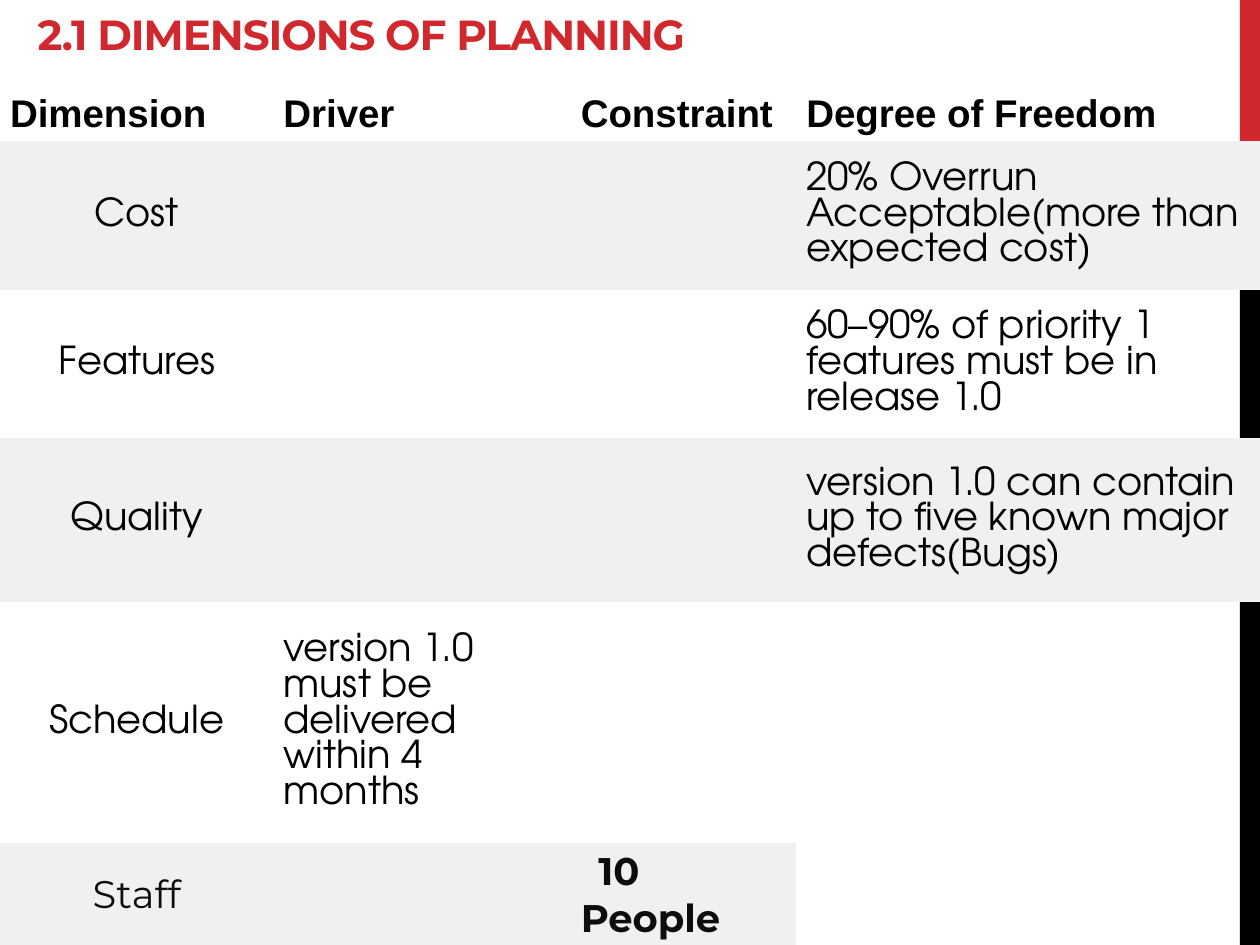
from pptx import Presentation
from pptx.dml.color import RGBColor
from pptx.enum.shapes import MSO_SHAPE
from pptx.enum.text import MSO_ANCHOR, PP_ALIGN
from pptx.oxml.ns import qn
from pptx.util import Inches, Pt

RED = RGBColor(0xD1, 0x28, 0x2E)
BLACK = RGBColor(0, 0, 0)
CHARCOAL = RGBColor(0x0D, 0x0D, 0x0D)
BAND = RGBColor(0xF0, 0xF0, 0xF0)

HEADING_FONT = "Arial"
BODY_FONT = "TeX Gyre Adventor"
ACCENT_FONT = "Montserrat"
PLAIN_TABLE_STYLE = "{2D5ABB26-0587-4C30-8999-92F81FD0307C}"

COLUMN_WIDTHS = [2.17, 2.36, 1.79, 3.68]
ROW_HEIGHTS = [0.6, 1.18, 1.18, 1.3, 1.91, 0.81]
DIMENSIONS = [
    ["Dimension", "Driver", "Constraint", "Degree of Freedom"],
    ["Cost", "", "", "20% Overrun Acceptable(more than expected cost)"],
    ["Features", "", "", "60–90% of priority 1 features must be in release 1.0"],
    ["Quality", "", "", "version 1.0 can contain up to five known major defects(Bugs)"],
    ["Schedule", "version 1.0 must be delivered within 4 months", "", ""],
    ["Staff", "", "10 People", ""],
]


def style(paragraph, font_name, size, color, bold):
    """Set the font of a whole paragraph."""
    font = paragraph.font
    font.name = font_name
    font.size = Pt(size)
    font.color.rgb = color
    font.bold = bold


def add_side_bar(slide, left, top, width, height, red_height):
    """Draw the edge bar, red above and black below."""
    parts = [(top, red_height, RED), (top + red_height, height - red_height, BLACK)]
    for part_top, part_height, color in parts:
        bar = slide.shapes.add_shape(
            MSO_SHAPE.RECTANGLE, Inches(left), Inches(part_top), Inches(width), Inches(part_height)
        )
        bar.shadow.inherit = False
        bar.fill.solid()
        bar.fill.fore_color.rgb = color
        bar.line.fill.background()


def add_title(slide, left, top, width, height):
    """Place the slide heading."""
    heading = slide.shapes.add_textbox(
        Inches(left), Inches(top), Inches(width), Inches(height)
    ).text_frame
    heading.word_wrap = True
    heading.vertical_anchor = MSO_ANCHOR.BOTTOM
    paragraph = heading.paragraphs[0]
    run = paragraph.add_run()
    run.text = "2.1 DIMENSIONS OF PLANNING"
    run.font._element.set("spc", "-60")
    style(paragraph, ACCENT_FONT, 24, RED, True)


def fill_cell(cell, text, row, column):
    """Write and format one cell according to its row and column."""
    is_header = row == 0
    is_staff = row == len(DIMENSIONS) - 1
    is_last_column = column == len(COLUMN_WIDTHS) - 1
    cell.margin_left = cell.margin_right = Inches(0.08)
    cell.margin_top = cell.margin_bottom = Inches(0.04)
    cell.vertical_anchor = MSO_ANCHOR.BOTTOM if is_header else MSO_ANCHOR.MIDDLE
    if row % 2 and not (is_staff and is_last_column):
        cell.fill.solid()
        cell.fill.fore_color.rgb = BAND
    else:
        cell.fill.background()

    cell.text = text
    paragraph = cell.text_frame.paragraphs[0]
    if column == 0 and not is_header:
        paragraph.alignment = PP_ALIGN.CENTER
    if is_header:
        style(paragraph, HEADING_FONT, 22, BLACK, True)
    elif is_staff:
        style(paragraph, ACCENT_FONT, 22, CHARCOAL, column > 0)
        if text and column:
            paragraph._p.get_or_add_pPr().set("indent", str(Inches(0.14)))
    else:
        style(paragraph, BODY_FONT, 22, BLACK, False)


def add_dimensions_table(slide, left, top, width, height):
    """Place the table of planning dimensions."""
    table = slide.shapes.add_table(
        len(ROW_HEIGHTS), len(COLUMN_WIDTHS),
        Inches(left), Inches(top), Inches(width), Inches(height),
    ).table
    table.horz_banding = False
    table.first_row = False
    table._tbl.tblPr.find(qn("a:tableStyleId")).text = PLAIN_TABLE_STYLE
    for column, column_width in zip(table.columns, COLUMN_WIDTHS):
        column.width = Inches(column_width)
    for row, row_height in zip(table.rows, ROW_HEIGHTS):
        row.height = Inches(row_height)
    for row, texts in enumerate(DIMENSIONS):
        for column, text in enumerate(texts):
            fill_cell(table.cell(row, column), text, row, column)


def main():
    """Build and save the slide."""
    presentation = Presentation()
    presentation.slide_width = Inches(10)
    presentation.slide_height = Inches(7.5)
    slide = presentation.slides.add_slide(presentation.slide_layouts[6])
    add_side_bar(slide, 9.84, 0, 0.16, 7.5, red_height=1.5)
    add_title(slide, 0.2, -0.03, 7.72, 0.55)
    add_dimensions_table(slide, 0, 0.52, sum(COLUMN_WIDTHS), sum(ROW_HEIGHTS))
    presentation.save("out.pptx")


if __name__ == "__main__":
    main()
